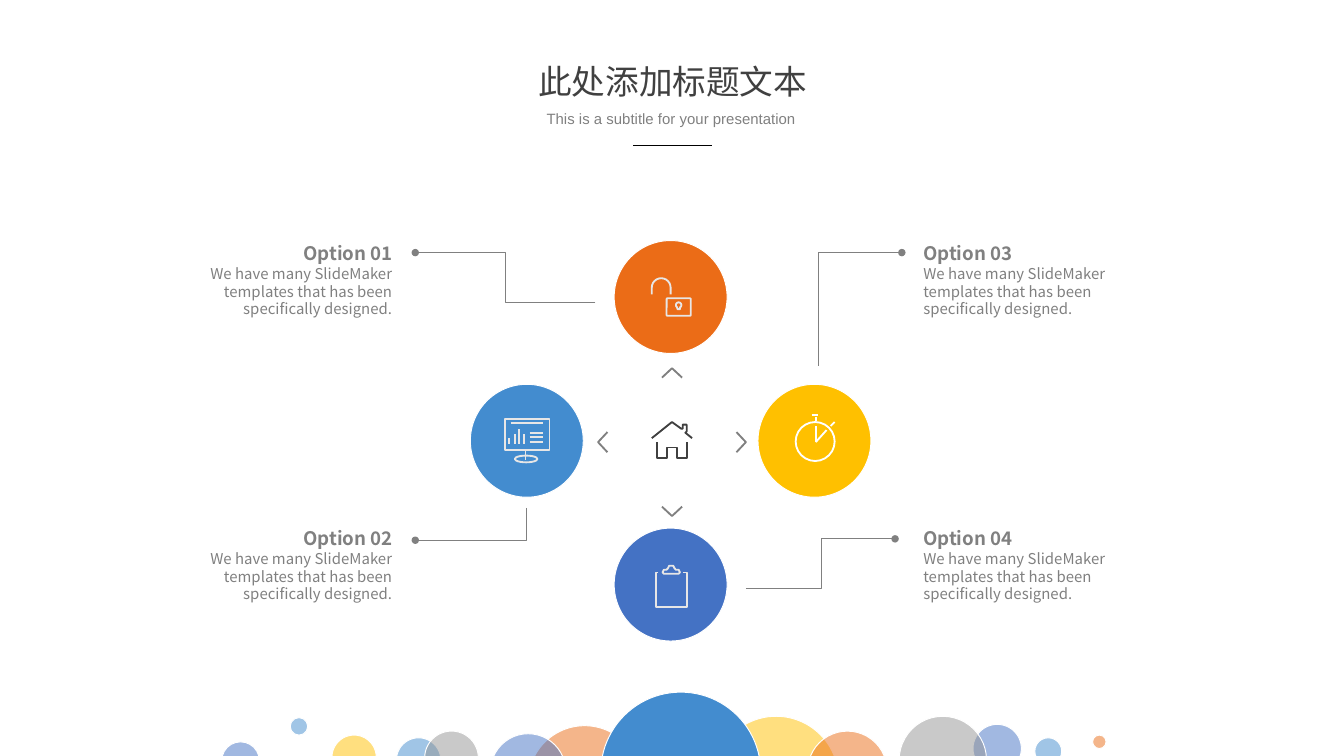
from dataclasses import dataclass
from math import cos, radians, sin

from lxml import etree
from pptx import Presentation
from pptx.dml import color
from pptx.enum import shapes, text
from pptx.oxml import ns
from pptx.util import Emu, Pt

PX = 9144  # 100 px to the inch
HUB = (499, 328)
MID = (500, 329)
BODY = "We have many SlideMaker templates that has been specifically designed."


@dataclass(frozen=True)
class Theme:
    blue: str = "438CCF"
    navy: str = "4472C4"
    orange: str = "EB6C17"
    gold: str = "FFC000"
    silver: str = "949494"
    white: str = "FFFFFF"
    pale: str = "E7E6E6"
    gray: str = "808080"
    dark: str = "404040"
    black: str = "000000"
    cjk: str = "Noto Sans CJK SC"
    latin: str = "Arial"
    title: int = 18
    head: int = 10
    body: int = 8
    thin: float = 0.5
    bold: float = 1


T = Theme()


def px(*vals):
    return [Emu(round(v * PX)) for v in vals]


def rgb(hue):
    return color.RGBColor.from_string(hue)


def sub(node, tag, **attrs):
    return etree.SubElement(node, ns.qn(tag), attrs)


def stroke(line, hue, width):
    line.color.rgb = rgb(hue)
    line.width = Pt(width)


# Shapes and lines
def solid(tree, kind, box, fill=None, edge=T.white, width=T.thin, alpha=None):
    shape = tree.add_shape(kind, *px(*box))
    shape.shadow.inherit = False
    stroke(shape.line, edge, width)
    if fill is None:
        shape.fill.background()
        return shape
    shape.fill.solid()
    shape.fill.fore_color.rgb = rgb(fill)
    if alpha:
        tone = shape._element.spPr.find(".//" + ns.qn("a:srgbClr"))
        sub(tone, "a:alpha", val=str(alpha * 1000))
    return shape


def oval(tree, box, *args, **opts):
    return solid(tree, shapes.MSO_SHAPE.OVAL, box, *args, **opts)


def trace(tree, pts, hue, width, close=False, dot=False):
    first, *rest = [px(*p) for p in pts]
    pen = tree.build_freeform(*first, scale=1.0)
    pen.add_line_segments(rest, close=close)
    shape = pen.convert_to_shape()
    shape.shadow.inherit = False
    shape.fill.background()
    stroke(shape.line, hue, width)
    if dot:
        sub(shape.line._get_or_add_ln(), "a:tailEnd", type="oval", w="sm", len="sm")


def rule(tree, ends, hue, width):
    line = tree.add_connector(shapes.MSO_CONNECTOR.STRAIGHT, *px(*ends))
    stroke(line.line, hue, width)
    sub(line._element.spPr, "a:effectLst")


def arc(cx, cy, r, start, end, step=15):
    turns = [radians(a) for a in range(start, end + 1, step)]
    return [(cx + r * cos(a), cy + r * sin(a)) for a in turns]


# Text
def write(shape, box, lines, align, inset=True):
    """Each line is (words, size, font, hue, bold)."""
    shape.left, shape.top, shape.width, shape.height = px(*box)
    frame = shape.text_frame
    frame.text = "\n".join(line[0] for line in lines)
    frame.word_wrap = True
    frame.auto_size = text.MSO_AUTO_SIZE.SHAPE_TO_FIT_TEXT
    frame.vertical_anchor = text.MSO_ANCHOR.TOP
    if not inset:
        frame.margin_left = frame.margin_top = 0
        frame.margin_right = frame.margin_bottom = 0
    for para, (_, size, face, hue, bold) in zip(frame.paragraphs, lines):
        para.alignment = align
        for run in para.runs:
            run.font.size, run.font.bold = Pt(size), bold
            run.font.color.rgb = rgb(hue)
            run.font.name = face
            sub(run._r.get_or_add_rPr(), "a:ea", typeface=face)


def label(tree, box, *args, **opts):
    write(tree.add_textbox(*px(*box)), box, *args, **opts)


# Icons
def house(tree):
    trace(tree, [(515, 326), (510, 322), (511, 321), (511, 316), (508, 316),
                 (508, 319), (507, 319), (500, 314), (485, 326)], T.dark, T.bold)
    trace(tree, [(489, 329), (489, 341), (496, 341), (496, 333), (504, 333),
                 (504, 341), (511, 341), (511, 329)], T.dark, T.bold)


def lock(tree):
    bow = [(485, 219), *arc(492, 214, 7, 180, 360), (499, 219)]
    trace(tree, bow, T.pale, T.bold)
    case = solid(tree, shapes.MSO_SHAPE.ROUNDED_RECTANGLE, (496, 222, 18, 13),
                 edge=T.pale, width=T.bold)
    case.adjustments[0] = 0.05
    hole = [(504, 230), *arc(505, 227, 2, 120, 420), (506, 230)]
    trace(tree, hole, T.pale, T.bold, close=True)


def board(tree):
    trace(tree, [(490, 426), (488, 426), (488, 452), (511, 452), (511, 426),
                 (508, 426)], T.pale, T.bold)
    trace(tree, [(498, 421), (497, 423), (496, 424), (494, 424), (493, 426),
                 (494, 427), (505, 427), (506, 426), (505, 424), (503, 424),
                 (502, 423), (501, 421)], T.pale, T.bold, close=True)


def screen(tree):
    oval(tree, (383, 339, 17, 5), edge=T.pale, width=T.bold)
    solid(tree, shapes.MSO_SHAPE.RECTANGLE, (376, 312, 33, 23),
          edge=T.pale, width=T.bold)
    rows = [(394, y, 404, y) for y in (322, 325, 329)]
    bars = [(x, 330, x, y) for x, y in
            ((379, 326), (383, 323), (386, 319), (390, 323))]
    for ends in [(380, 315, 404, 315), *rows, *bars, (391, 342, 391, 335)]:
        rule(tree, ends, T.pale, T.bold)


def watch(tree):
    oval(tree, (592, 314, 29, 29), edge=T.white, width=T.bold)
    for ends in ((607, 329, 607, 317), (607, 310, 607, 313), (604, 309, 609, 309),
                 (607, 329, 615, 320), (618, 317, 621, 314)):
        rule(tree, ends, T.white, T.bold)


# Slide parts
def footer(tree):
    for x, y, size, hue in (
            (531, 533, 93, T.gold), (601, 544, 59, T.orange),
            (724, 539, 36, T.navy), (669, 533, 65, T.silver),
            (770, 549, 20, T.blue), (813, 547, 10, T.orange),
            (393, 540, 84, T.orange), (365, 546, 56, T.navy),
            (295, 549, 33, T.blue), (316, 544, 40, T.silver),
            (247, 547, 33, T.gold), (216, 534, 13, T.blue)):
        oval(tree, (x, y, size, size), hue, alpha=50)
    oval(tree, (447, 515, 119, 119), T.blue)
    oval(tree, (165, 552, 28, 28), T.navy, alpha=50)


def wheel(tree):
    (cx, cy), (mx, my) = HUB, MID
    for dx, dy, hue in ((0, -1, T.orange), (1, 0, T.gold),
                        (-1, 0, T.blue), (0, 1, T.navy)):
        x, y = cx + 107 * dx, cy + 107 * dy
        oval(tree, (x - 42, y - 42, 84, 84), hue)
        wings = [(mx + 48 * dx + side * dy, my + 48 * dy + side * dx)
                 for side in (-7.5, 7.5)]
        tip = (mx + 55 * dx, my + 55 * dy)
        trace(tree, [wings[0], tip, wings[1]], T.gray, T.bold)
    for icon in (house, lock, board, screen, watch):
        icon(tree.add_group_shape().shapes)


def options(tree):
    left, right = text.PP_ALIGN.LEFT, text.PP_ALIGN.RIGHT
    for name, x, y, align, path in (
            ("01", 127, 180, right, [(443, 225), (376, 225), (376, 188), (309, 188)]),
            ("02", 127, 392, right, [(392, 378), (392, 402), (309, 402)]),
            ("03", 687, 180, left, [(609, 272), (609, 188), (671, 188)]),
            ("04", 687, 392, left, [(555, 438), (611, 438), (611, 401), (666, 401)])):
        trace(tree, path, T.gray, T.thin, dot=True)
        label(tree, (x, y, 165, 57),
              [(f"Option {name}", T.head, T.cjk, T.gray, True),
               (BODY, T.body, T.cjk, T.gray, False)], align, inset=False)


def heading(tree):
    mid = text.PP_ALIGN.CENTER
    write(tree.title, (335, 40, 331, 40),
          [("此处添加标题文本", T.title, T.cjk, T.dark, False)], mid)
    label(tree, (393, 77, 213, 24),
          [("This is a subtitle for your presentation",
            T.body, T.latin, T.gray, False)], mid)
    rule(tree, (471, 108, 530, 108), T.black, T.thin)


def main():
    deck = Presentation()
    deck.slide_width = Emu(1000 * PX)
    deck.slide_height = Emu(1000 * PX * 9 // 16)
    tree = deck.slides.add_slide(deck.slide_layouts[5]).shapes
    footer(tree)
    wheel(tree)
    options(tree)
    heading(tree)
    deck.save("out.pptx")


if __name__ == "__main__":
    main()
